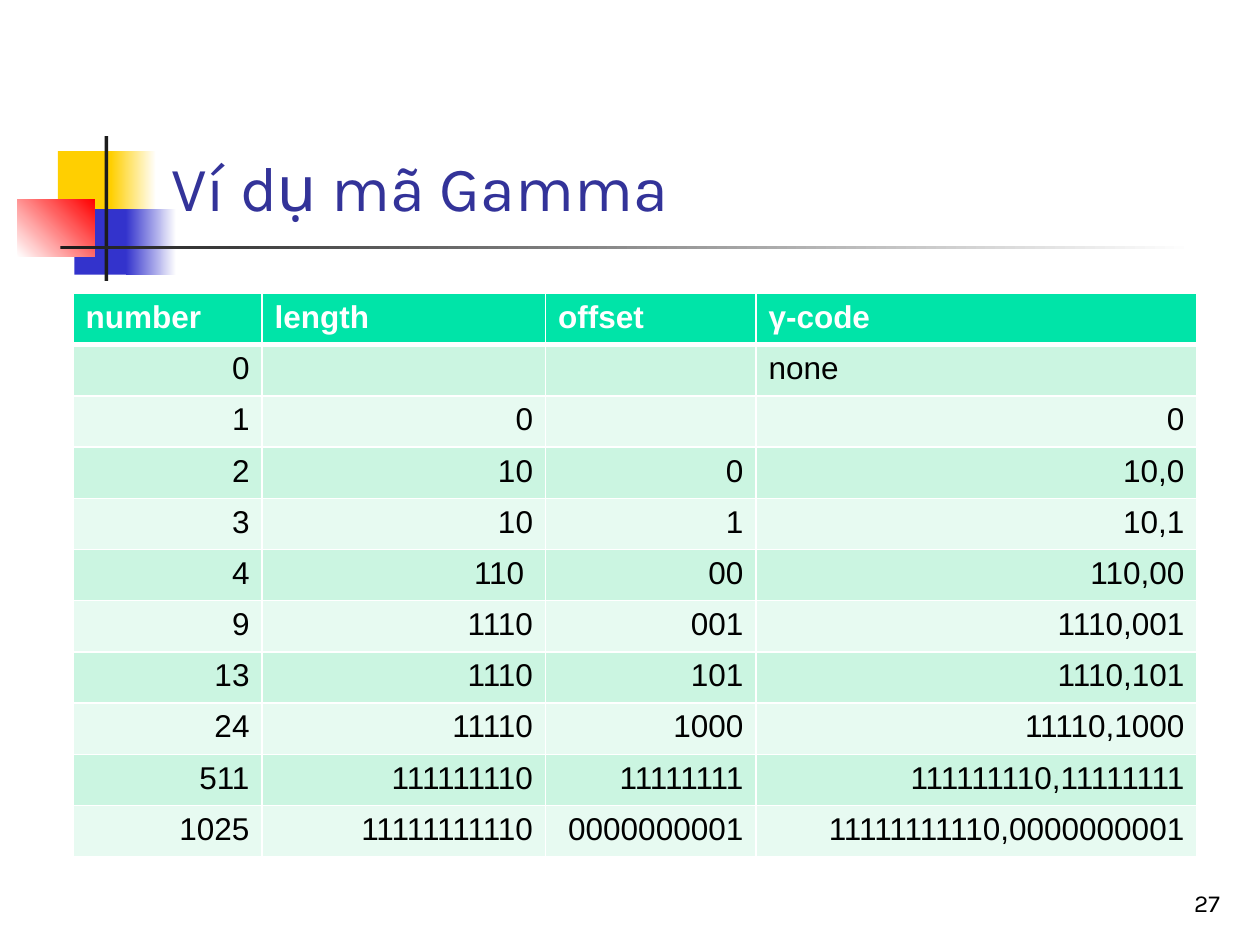
from pptx import Presentation
from pptx.dml.color import RGBColor
from pptx.enum import shapes, text
from pptx.oxml import parse_xml
from pptx.oxml.ns import nsdecls
from pptx.util import Inches, Pt

COLOURS = {
    "yellow": "FFCF01", "blue": "3333CC", "red": "FF0000", "ink": "1C1C1C",
    "white": "FFFFFF", "black": "000000", "title": "333399",
    "header": "00E4A8", "odd": "CBF5E1", "even": "E7FAF1",
}

# left, top, width, height, colours (two make a gradient), gradient angle
ORNAMENTS = [
    (0.46, 1.2, 0.48, 0.52, ["yellow"], 0),
    (0.88, 1.2, 0.36, 0.52, ["yellow", "white"], 0),
    (0.59, 1.66, 0.46, 0.52, ["blue"], 0),
    (1, 1.66, 0.4, 0.52, ["blue", "white"], 0),
    (0.14, 1.58, 0.61, 0.46, ["white", "red"], 45),
    (0.83, 1.08, 0.03, 1.15, ["ink"], 0),
    (0.48, 1.95, 9, 0.03, ["ink", "white"], 0),
]

COLUMN_WIDTHS = [1.5, 2.25, 1.67, 3.5]
CODES = [
    ("number", "length", "offset", "γ-code"),
    ("0", "", "", "none"),
    ("1", "0", "", "0"),
    ("2", "10", "0", "10,0"),
    ("3", "10", "1", "10,1"),
    ("4", "110 ", "00", "110,00"),
    ("9", "1110", "001", "1110,001"),
    ("13", "1110", "101", "1110,101"),
    ("24", "11110", "1000", "11110,1000"),
    ("511", "111111110", "11111111", "111111110,11111111"),
    ("1025", "11111111110", "0000000001", "11111111110,0000000001"),
]


def rgb(name):
    """Return the named colour."""
    return RGBColor.from_string(COLOURS[name])


def write(frame, words, font, size, colour, bold=False, align=None):
    """Put one formatted paragraph into a text frame."""
    frame.text = words
    paragraph = frame.paragraphs[0]
    paragraph.alignment = align
    for run in paragraph.runs:
        run.font.name = font
        run.font.size = Pt(size)
        run.font.bold = bold
        run.font.color.rgb = rgb(colour)


def add_ornament(slide, left, top, width, height, colours, angle):
    """Draw a borderless rectangle with a plain or gradient fill."""
    block = slide.shapes.add_shape(
        shapes.MSO_SHAPE.RECTANGLE,
        Inches(left), Inches(top), Inches(width), Inches(height))
    block.shadow.inherit = False
    block.line.fill.background()
    if len(colours) == 1:
        block.fill.solid()
        block.fill.fore_color.rgb = rgb(colours[0])
    else:
        block.fill.gradient()
        block.fill.gradient_angle = angle
        for stop, colour in zip(block.fill.gradient_stops, colours):
            stop.color.rgb = rgb(colour)


def add_title(slide, words):
    """Fill the title placeholder and bring it in front of the ornaments."""
    title = slide.shapes.title
    title.left, title.top = Inches(1.26), Inches(0.44)
    title.width, title.height = Inches(8.52), Inches(1.39)
    title.text_frame.vertical_anchor = text.MSO_ANCHOR.BOTTOM
    write(title.text_frame, words, "Karla", 36, "title",
          align=text.PP_ALIGN.LEFT)
    title.element.getparent().append(title.element)


def add_page_number(slide, number):
    """Write the page number at the lower right."""
    page = slide.shapes.add_textbox(
        Inches(7.7), Inches(6.83), Inches(2.08), Inches(0.5))
    page.text_frame.word_wrap = True
    page.text_frame.vertical_anchor = text.MSO_ANCHOR.BOTTOM
    write(page.text_frame, number, "Karla", 14, "black",
          align=text.PP_ALIGN.RIGHT)


def set_borders(cell, top, bottom):
    """Give a cell white borders; top and bottom widths are in points."""
    properties = cell._tc.get_or_add_tcPr()
    widths = {"lnL": 1, "lnR": 1, "lnT": top, "lnB": bottom}
    for place, (side, width) in enumerate(widths.items()):
        properties.insert(place, parse_xml(
            f'<a:{side} {nsdecls("a")} w="{Pt(width)}"><a:solidFill>'
            f'<a:srgbClr val="{COLOURS["white"]}"/></a:solidFill></a:{side}>'))


def add_code_table(slide):
    """Add the banded table of gamma codes."""
    height = Inches(4.47)
    codes = slide.shapes.add_table(
        len(CODES), len(COLUMN_WIDTHS), Inches(0.58), Inches(2.33),
        Inches(sum(COLUMN_WIDTHS)), height).table
    for column, width in zip(codes.columns, COLUMN_WIDTHS):
        column.width = Inches(width)
    for r, entries in enumerate(CODES):
        codes.rows[r].height = height // len(CODES)
        is_header = r == 0
        band = "header" if is_header else ("even", "odd")[r % 2]
        for c, entry in enumerate(entries):
            cell = codes.cell(r, c)
            cell.fill.solid()
            cell.fill.fore_color.rgb = rgb(band)
            set_borders(cell, 3 if r == 1 else 1, 3 if is_header else 1)
            is_left = is_header or entry == "none"
            write(cell.text_frame, entry, "Arial", 18,
                  "white" if is_header else "black", is_header,
                  text.PP_ALIGN.LEFT if is_left else text.PP_ALIGN.RIGHT)


def main():
    """Build the slide and save it."""
    deck = Presentation()
    deck.slide_width, deck.slide_height = Inches(10), Inches(7.5)
    slide = deck.slides.add_slide(deck.slide_layouts[5])
    for ornament in ORNAMENTS:
        add_ornament(slide, *ornament)
    add_page_number(slide, "27")
    add_title(slide, "Ví dụ mã Gamma")
    add_code_table(slide)
    deck.save("out.pptx")


main()
